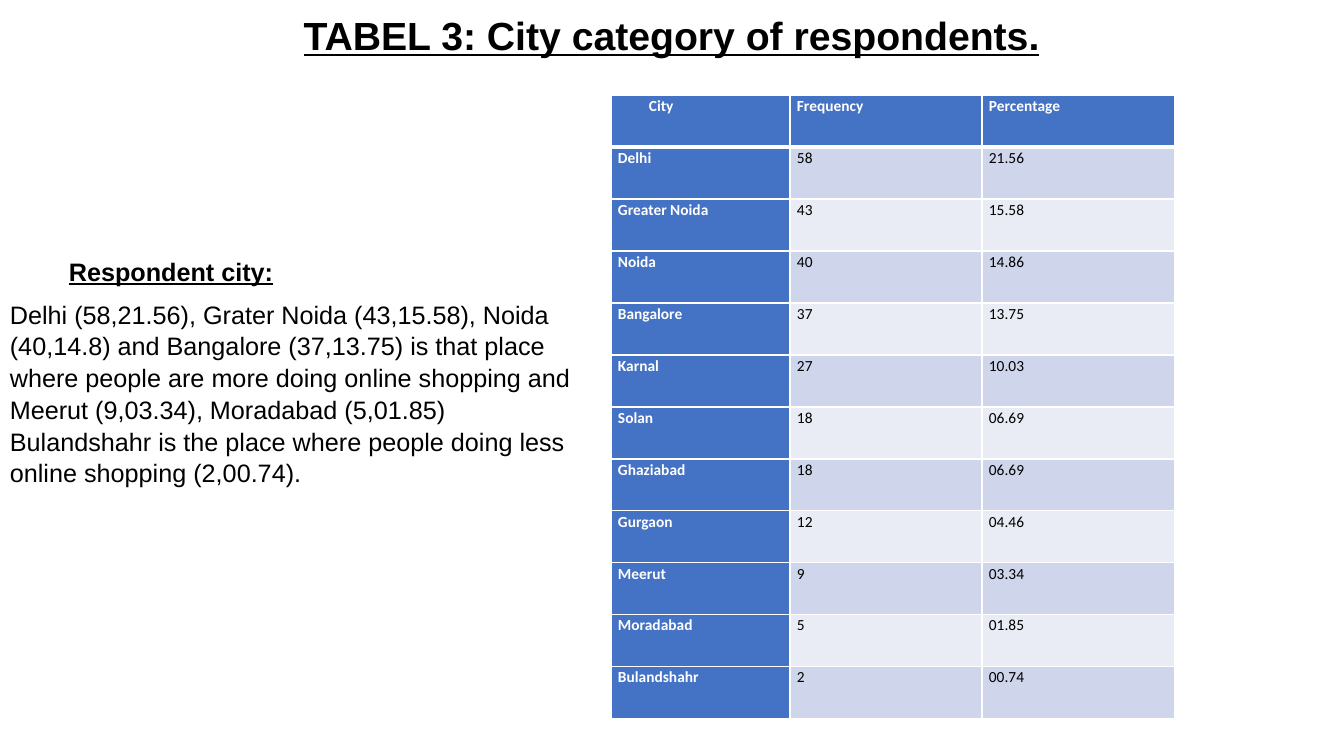
"""Build the slide on the city category of respondents."""
from pptx import Presentation
from pptx.dml.color import RGBColor
from pptx.enum.text import MSO_ANCHOR, MSO_AUTO_SIZE, PP_ALIGN
from pptx.oxml import parse_xml
from pptx.oxml.ns import nsdecls
from pptx.util import Emu, Pt

BLACK = RGBColor(0x00, 0x00, 0x00)
WHITE = RGBColor(0xFF, 0xFF, 0xFF)
BLUE = RGBColor(0x44, 0x72, 0xC4)
BAND_DARK = RGBColor(0xCF, 0xD5, 0xEA)
BAND_LIGHT = RGBColor(0xE9, 0xEB, 0xF5)

HEADINGS = ("City", "Frequency", "Percentage")
CITIES = (
    ("Delhi", "58", "21.56"),
    ("Greater Noida", "43", "15.58"),
    ("Noida", "40", "14.86"),
    ("Bangalore", "37", "13.75"),
    ("Karnal", "27", "10.03"),
    ("Solan", "18", "06.69"),
    ("Ghaziabad", "18", "06.69"),
    ("Gurgaon", "12", "04.46"),
    ("Meerut", "9", "03.34"),
    ("Moradabad", "5", "01.85"),
    ("Bulandshahr", "2", "00.74"),
)
COLUMN_WIDTHS = (179, 192, 193)
ROW_HEIGHT = 52


def px(count):
    return Emu(round(count * 914400 / 100.8))


def style(paragraph, face, size, color, bold, underline=False):
    font = paragraph.font
    font.name, font.size, font.bold, font.underline = face, Pt(size), bold, underline
    font.color.rgb = color


deck = Presentation()
deck.slide_width, deck.slide_height = px(1344), px(756)
slide = deck.slides.add_slide(deck.slide_layouts[6])

title = slide.shapes.add_textbox(px(92), px(0), px(1159), px(124)).text_frame
title.word_wrap = True
title.vertical_anchor = MSO_ANCHOR.TOP
title.margin_top = px(17)
title_line = title.paragraphs[0]
title_line.text = "TABEL 3: City category of respondents."
title_line.alignment = PP_ALIGN.CENTER
title_line.line_spacing = 0.9
style(title_line, "Arial", 28, BLACK, True, True)

rows = (HEADINGS, *CITIES)
city_table = slide.shapes.add_table(
    len(rows), len(HEADINGS), px(611), px(95),
    px(sum(COLUMN_WIDTHS)), px(ROW_HEIGHT * len(rows))).table
for column, width in zip(city_table.columns, COLUMN_WIDTHS):
    column.width = px(width)
for r, values in enumerate(rows):
    city_table.rows[r].height = px(ROW_HEIGHT)
    for c, value in enumerate(values):
        cell = city_table.cell(r, c)
        cell.margin_left = cell.margin_right = px(7)
        cell.margin_top = cell.margin_bottom = 0
        is_heading = r == 0 or c == 0
        entry = cell.text_frame.paragraphs[0]
        entry.text = value
        entry.line_spacing = 1.07
        entry.space_after = Pt(8)
        style(entry, "Calibri", 11, WHITE if is_heading else BLACK, is_heading)
        for side in ("L", "R", "T", "B"):
            thick = (r, side) in ((0, "B"), (1, "T"))
            cell._tc.get_or_add_tcPr().append(parse_xml(
                f'<a:ln{side} {nsdecls("a")} w="{Pt(3 if thick else 1)}"><a:solidFill>'
                f'<a:srgbClr val="{WHITE}"/></a:solidFill></a:ln{side}>'))
        cell.fill.solid()
        band = BAND_DARK if r % 2 else BAND_LIGHT
        cell.fill.fore_color.rgb = BLUE if is_heading else band
city_heading = city_table.cell(0, 0).text_frame.paragraphs[0]
city_heading._p.get_or_add_pPr().set("marL", str(px(31)))

summary = slide.shapes.add_textbox(px(0), px(249), px(596), px(237)).text_frame
summary.word_wrap = True
summary.auto_size = MSO_AUTO_SIZE.SHAPE_TO_FIT_TEXT
subject = summary.paragraphs[0]
subject.text = "Respondent city:"
subject.line_spacing = 1.07
subject.space_after = Pt(8)
subject._p.get_or_add_pPr().set("marL", str(px(59)))
style(subject, "Arial", 18, BLACK, True, True)
findings = summary.add_paragraph()
findings.text = (
    "Delhi (58,21.56), Grater Noida (43,15.58), Noida (40,14.8) and Bangalore (37,13.75) "
    "is that place where people are more doing online shopping and Meerut (9,03.34), "
    "Moradabad (5,01.85) Bulandshahr is the place where people doing less online "
    "shopping (2,00.74).")
findings.line_spacing = 1.05
style(findings, "Arial", 18, BLACK, False)

deck.save("out.pptx")
